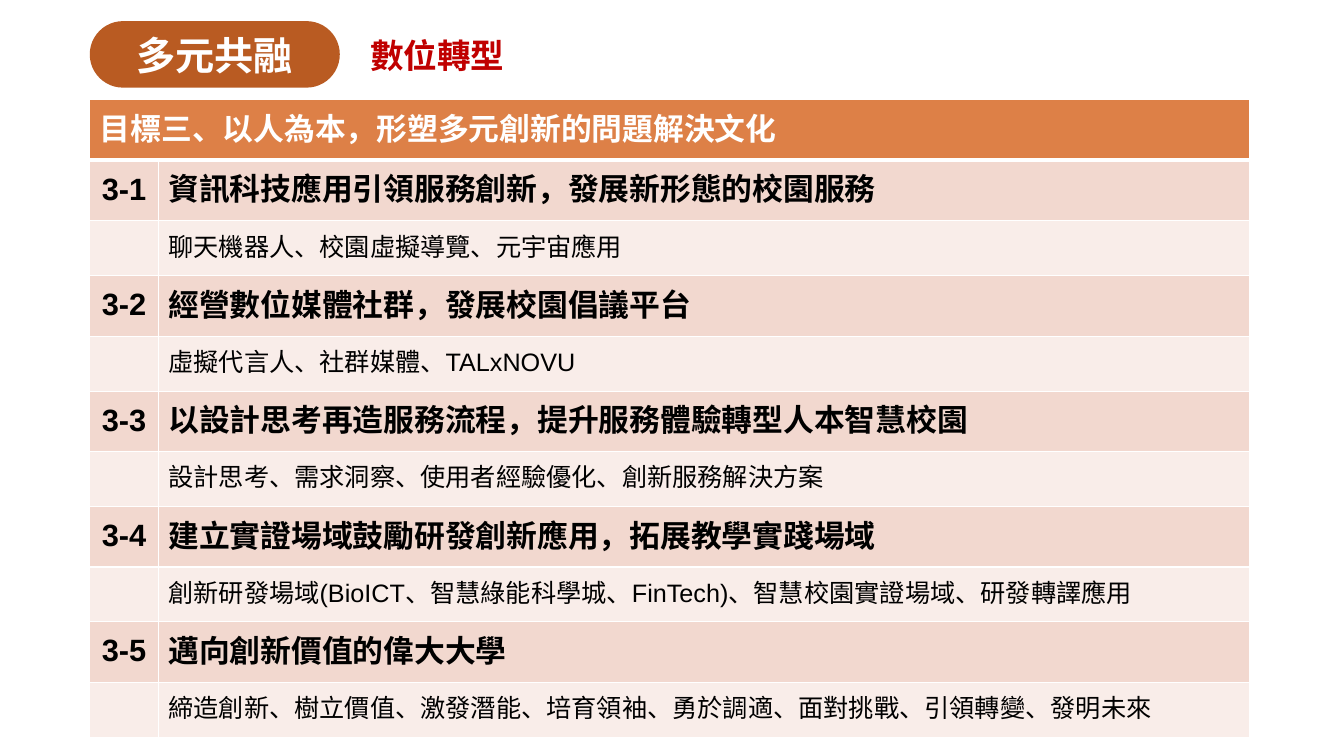
from pptx import Presentation
from pptx.dml.color import RGBColor
from pptx.enum.shapes import MSO_SHAPE as Shape
from pptx.enum.text import MSO_ANCHOR as Anchor, MSO_AUTO_SIZE as AutoSize, PP_ALIGN as Align
from pptx.oxml import parse_xml
from pptx.oxml.ns import nsdecls
from pptx.util import Pt

PX = 9144
WHITE = RGBColor(0xFF, 0xFF, 0xFF)
BLACK = RGBColor(0, 0, 0)
RED = RGBColor(0xC0, 0, 0)
BROWN = RGBColor(0xB9, 0x5B, 0x22)
ORANGE = RGBColor(0xDD, 0x80, 0x47)
PEACH = RGBColor(0xF2, 0xD8, 0xCF)
PALE = RGBColor(0xF9, 0xED, 0xE9)

GOAL = "目標三、以人為本，形塑多元創新的問題解決文化"
STRATEGIES = [
    ("資訊科技應用引領服務創新，發展新形態的校園服務", "聊天機器人、校園虛擬導覽、元宇宙應用"),
    ("經營數位媒體社群，發展校園倡議平台", "虛擬代言人、社群媒體、TALxNOVU"),
    ("以設計思考再造服務流程，提升服務體驗轉型人本智慧校園",
     "設計思考、需求洞察、使用者經驗優化、創新服務解決方案"),
    ("建立實證場域鼓勵研發創新應用，拓展教學實踐場域",
     "創新研發場域(BioICT、智慧綠能科學城、FinTech)、智慧校園實證場域、研發轉譯應用"),
    ("邁向創新價值的偉大大學",
     "締造創新、樹立價值、激發潛能、培育領袖、勇於調適、面對挑戰、引領轉變、發明未來"),
]


def px(*lengths):
    return [length * PX for length in lengths]


def write(frame, text, size=22, color=BLACK, bold=True, align=Align.LEFT, spacing=None):
    paragraph = frame.paragraphs[0]
    paragraph.alignment = align
    paragraph.line_spacing = spacing
    run = paragraph.add_run()
    run.text = text
    font = run.font
    font.name, font.size, font.bold = "Arial", Pt(size), bold
    font.color.rgb = color


def add_badge(slide, text, box):
    badge = slide.shapes.add_shape(Shape.ROUNDED_RECTANGLE, *px(*box))
    badge.adjustments[0] = 0.5
    badge.shadow.inherit = False
    badge.fill.solid()
    badge.fill.fore_color.rgb = BROWN
    badge.line.fill.background()
    frame = badge.text_frame
    frame.margin_left = frame.margin_right = frame.margin_top = frame.margin_bottom = 0
    frame.vertical_anchor = Anchor.MIDDLE
    write(frame, text, size=28, color=WHITE, align=Align.CENTER)


def set_title(slide, text, box):
    title = slide.shapes.title
    title.left, title.top, title.width, title.height = px(*box)
    frame = title.text_frame
    frame.word_wrap = False
    frame.auto_size = AutoSize.NONE
    frame.vertical_anchor = Anchor.MIDDLE
    write(frame, text, size=24, color=RED)


def style_cell(cell, fill, bottom=1):
    cell.margin_left, cell.margin_right, cell.margin_top, cell.margin_bottom = px(10, 10, 12, 12)
    properties = cell._tc.get_or_add_tcPr()
    for side, width in (("lnL", 1), ("lnR", 1), ("lnT", 1), ("lnB", bottom)):
        properties.append(parse_xml(
            f'<a:{side} {nsdecls("a")} w="{Pt(width)}"><a:solidFill>'
            f'<a:srgbClr val="{WHITE}"/></a:solidFill></a:{side}>'))
    cell.fill.solid()
    cell.fill.fore_color.rgb = fill


def add_strategy_table(slide, box, number_width=68, heading_height=60, detail_height=54):
    left, top, width, height = box
    row_count = 1 + 2 * len(STRATEGIES)
    table = slide.shapes.add_table(row_count, 2, *px(left, top, width, height)).table
    table.columns[0].width, table.columns[1].width = px(number_width, width - number_width)
    for index, row in enumerate(table.rows):
        is_detail = index > 0 and index % 2 == 0
        row.height = (detail_height if is_detail else heading_height) * PX
        fill = ORANGE if index == 0 else PALE if is_detail else PEACH
        for cell in row.cells:
            style_cell(cell, fill, bottom=1 if index else 3)
    table.cell(0, 0).merge(table.cell(0, 1))
    write(table.cell(0, 0).text_frame, GOAL, color=WHITE, spacing=0.8)
    for number, (heading, detail) in enumerate(STRATEGIES, 1):
        row = 2 * number - 1
        write(table.cell(row, 0).text_frame, f"3-{number}", align=Align.CENTER)
        write(table.cell(row, 1).text_frame, heading, spacing=0.8)
        write(table.cell(row + 1, 1).text_frame, detail, size=18, bold=False, spacing=0.8)


def main():
    presentation = Presentation()
    presentation.slide_width, presentation.slide_height = px(1333, 750)
    slide = presentation.slides.add_slide(presentation.slide_layouts[5])
    add_badge(slide, "多元共融", (89, 21, 248, 66))
    add_strategy_table(slide, (89, 99, 1150, 630))
    set_title(slide, "數位轉型", (357, 30, 155, 50))
    presentation.save("out.pptx")


if __name__ == "__main__":
    main()
